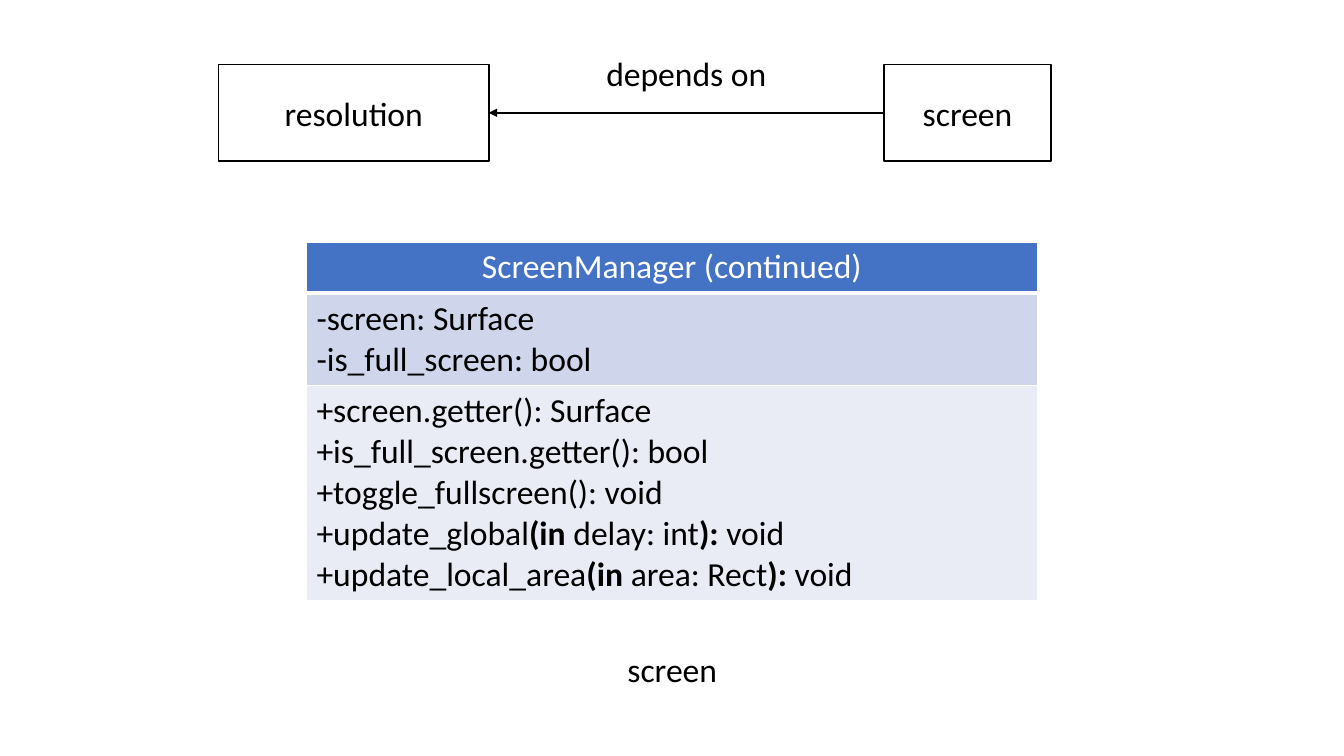
from dataclasses import dataclass

import pptx
import pptx.dml.color
import pptx.enum.shapes
import pptx.enum.text
import pptx.oxml
import pptx.oxml.ns
import pptx.util

Pt = pptx.util.Pt
RGB = pptx.dml.color.RGBColor
ALIGN = pptx.enum.text.PP_ALIGN
ANCHOR = pptx.enum.text.MSO_ANCHOR


@dataclass(frozen=True)
class Theme:
    font: str = "Calibri"
    size: float = 24
    ink: str = "000000"
    paper: str = "FFFFFF"
    head: str = "4472C4"
    dark: str = "CFD5EA"
    light: str = "E9EBF5"


@dataclass(frozen=True)
class Area:
    left: float
    top: float
    width: float
    height: float

    def lengths(self) -> tuple:
        return tuple(Pt(n) for n in (self.left, self.top, self.width, self.height))


@dataclass(frozen=True)
class Row:
    lines: tuple[str, ...]
    height: float
    fill: str
    ink: str
    align: ALIGN
    rule: float = 1


THEME = Theme()
RESOLUTION = Area(156.2, 46.1, 193, 69)
SCREEN = Area(631.4, 46.1, 119.5, 69)
DEPENDS = Area(421.9, 34.6, 136.8, 36)
CAPTION = Area(321.1, 460.1, 318.2, 36)
TABLE = Area(218.9, 172.8, 522, 255.5)

# Asterisks switch bold on and off.
ROWS = (
    Row(("ScreenManager (continued)",), 36, THEME.head, THEME.paper, ALIGN.CENTER, 3),
    Row(("-screen: Surface", "-is_full_screen: bool"),
        65.8, THEME.dark, THEME.ink, ALIGN.LEFT),
    Row(("+screen.getter(): Surface",
         "+is_full_screen.getter(): bool",
         "+toggle_fullscreen(): void",
         "+update_global*(in* delay: int*):* void",
         "+update_local_area*(in* area: Rect*):* void"),
        153.7, THEME.light, THEME.ink, ALIGN.LEFT),
)


def write(frame, lines: tuple[str, ...], ink: str = THEME.ink,
          align: ALIGN = ALIGN.CENTER) -> None:
    for i, line in enumerate(lines):
        para = frame.add_paragraph() if i else frame.paragraphs[0]
        para.alignment = align
        font = para.font
        font.name, font.size, font.bold = THEME.font, Pt(THEME.size), False
        font.color.rgb = RGB.from_string(ink)
        parts = line.split("*")
        for j, part in enumerate(parts):
            run = para.add_run()
            run.text = part
            if len(parts) > 1:
                run.font.bold = j % 2 == 1


def add_box(slide, area: Area, text: str):
    box = slide.shapes.add_shape(
        pptx.enum.shapes.MSO_SHAPE.RECTANGLE, *area.lengths())
    box.shadow.inherit = False
    box.fill.solid()
    box.fill.fore_color.rgb = RGB.from_string(THEME.paper)
    box.line.color.rgb = RGB.from_string(THEME.ink)
    box.line.width = Pt(1)
    box.text_frame.vertical_anchor = ANCHOR.MIDDLE
    write(box.text_frame, (text,))
    return box


def add_arrow(slide, start, end) -> None:
    """Join the left side of start to the right side of end."""
    arrow = slide.shapes.add_connector(
        pptx.enum.shapes.MSO_CONNECTOR.STRAIGHT, 0, 0, 0, 0)
    arrow.begin_connect(start, 1)
    arrow.end_connect(end, 3)
    arrow.line.color.rgb = RGB.from_string(THEME.ink)
    arrow.line.width = Pt(1.5)
    make = pptx.oxml.ns.qn
    tail = arrow.line._get_or_add_ln().makeelement(make("a:tailEnd"), {"type": "triangle"})
    arrow.line._get_or_add_ln().append(tail)
    props = arrow._element.spPr
    props.append(props.makeelement(make("a:effectLst"), {}))


def add_label(slide, area: Area, text: str) -> None:
    frame = slide.shapes.add_textbox(*area.lengths()).text_frame
    frame.word_wrap = True
    write(frame, (text,))


def set_title(slide, area: Area, text: str) -> None:
    title = slide.shapes.title
    title.left, title.top, title.width, title.height = area.lengths()
    frame = title.text_frame
    frame.auto_size = pptx.enum.text.MSO_AUTO_SIZE.NONE
    frame.vertical_anchor = ANCHOR.TOP
    write(frame, (text,))


def edge_cell(cell, above: float, below: float) -> None:
    """Draw the cell's borders, with the given rules above and below."""
    props = cell._tc.get_or_add_tcPr()
    sides = (("L", 1), ("R", 1), ("T", above), ("B", below))
    for i, (side, width) in enumerate(sides):
        props.insert(i, pptx.oxml.parse_xml(
            f'<a:ln{side} {pptx.oxml.ns.nsdecls("a")} w="{Pt(width)}"><a:solidFill>'
            f'<a:srgbClr val="{THEME.paper}"/></a:solidFill></a:ln{side}>'))


def add_table(slide, area: Area, rows: tuple[Row, ...]) -> None:
    table = slide.shapes.add_table(len(rows), 1, *area.lengths()).table
    table.horz_banding = False
    above = 1
    for i, row in enumerate(rows):
        table.rows[i].height = Pt(row.height)
        cell = table.cell(i, 0)
        cell.fill.solid()
        cell.fill.fore_color.rgb = RGB.from_string(row.fill)
        cell.vertical_anchor = ANCHOR.MIDDLE
        edge_cell(cell, above, row.rule)
        write(cell.text_frame, row.lines, row.ink, row.align)
        above = row.rule


def main() -> None:
    deck = pptx.Presentation()
    deck.slide_width, deck.slide_height = Pt(960), Pt(540)
    slide = deck.slides.add_slide(deck.slide_layouts.get_by_name("Title Only"))
    set_title(slide, CAPTION, "screen")
    add_table(slide, TABLE, ROWS)
    screen = add_box(slide, SCREEN, "screen")
    target = add_box(slide, RESOLUTION, "resolution")
    add_arrow(slide, screen, target)
    add_label(slide, DEPENDS, "depends on")
    deck.save("out.pptx")


if __name__ == "__main__":
    main()
